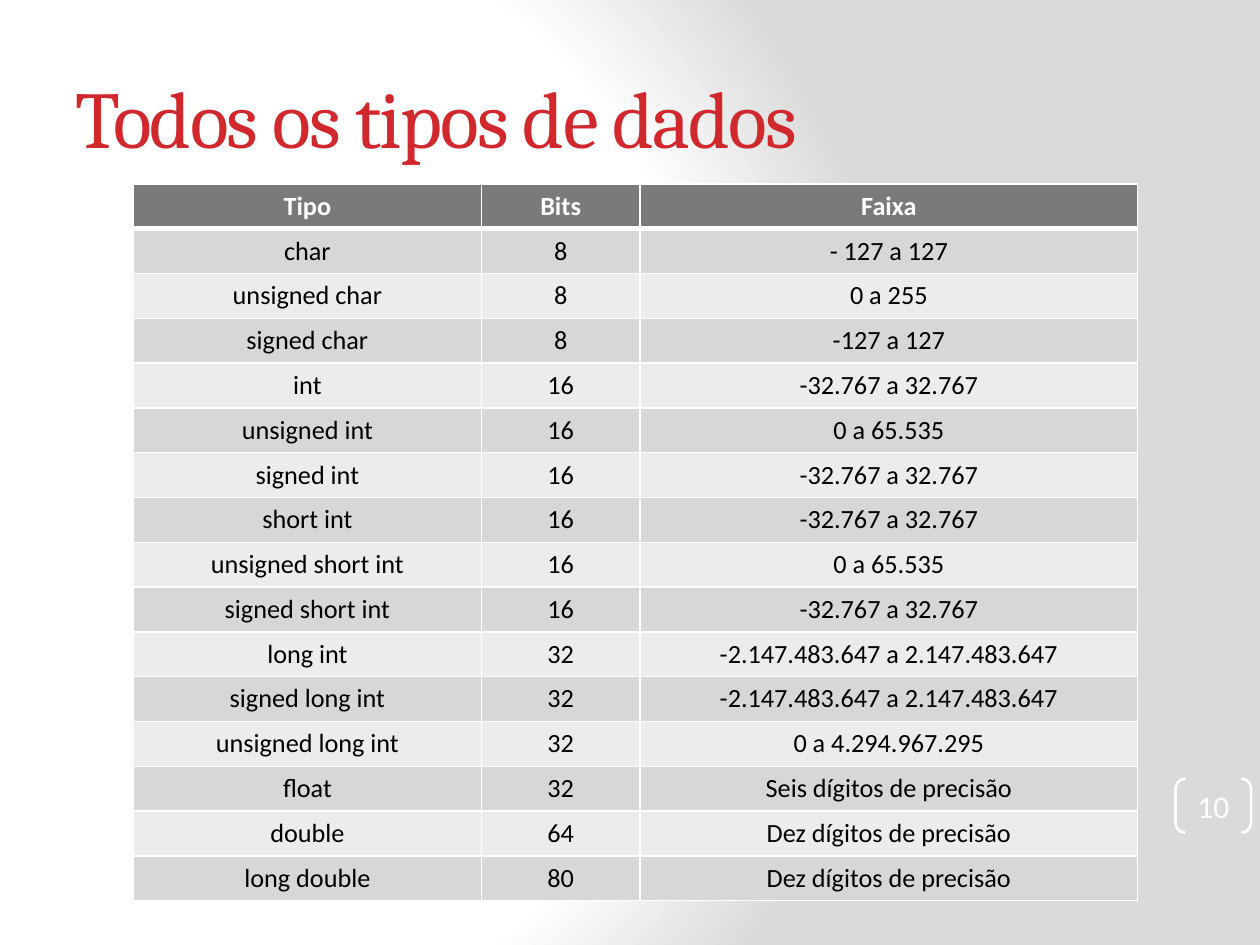
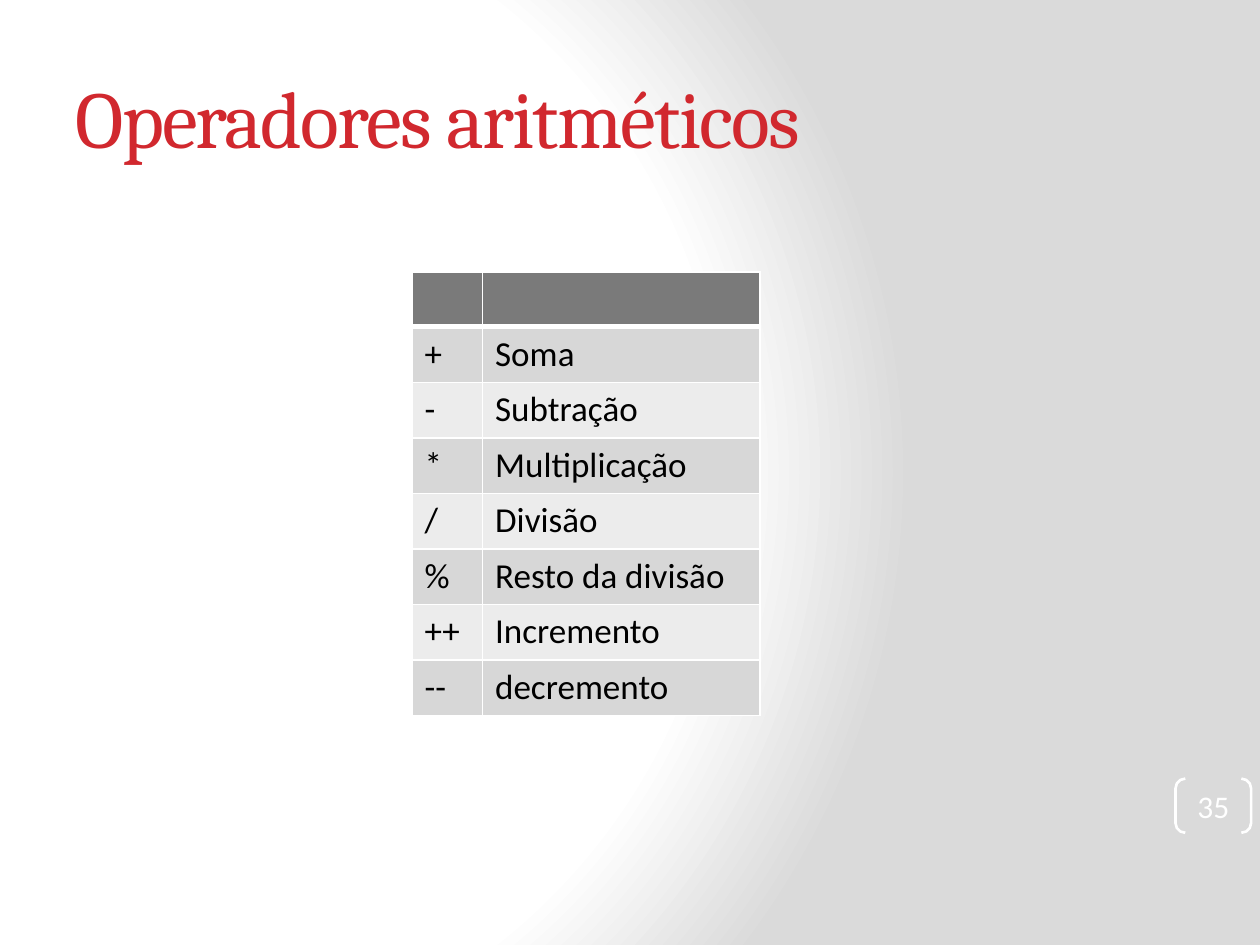
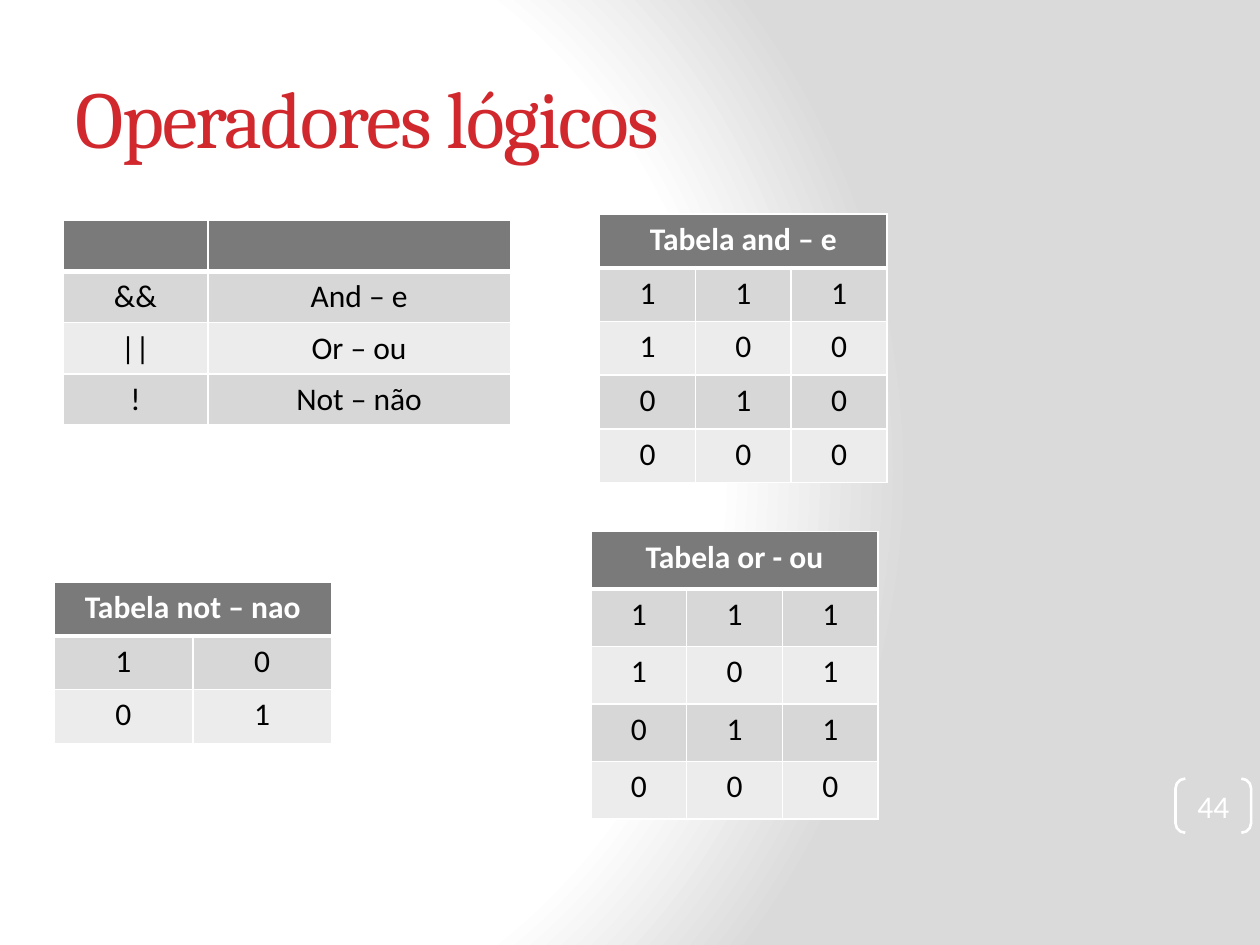
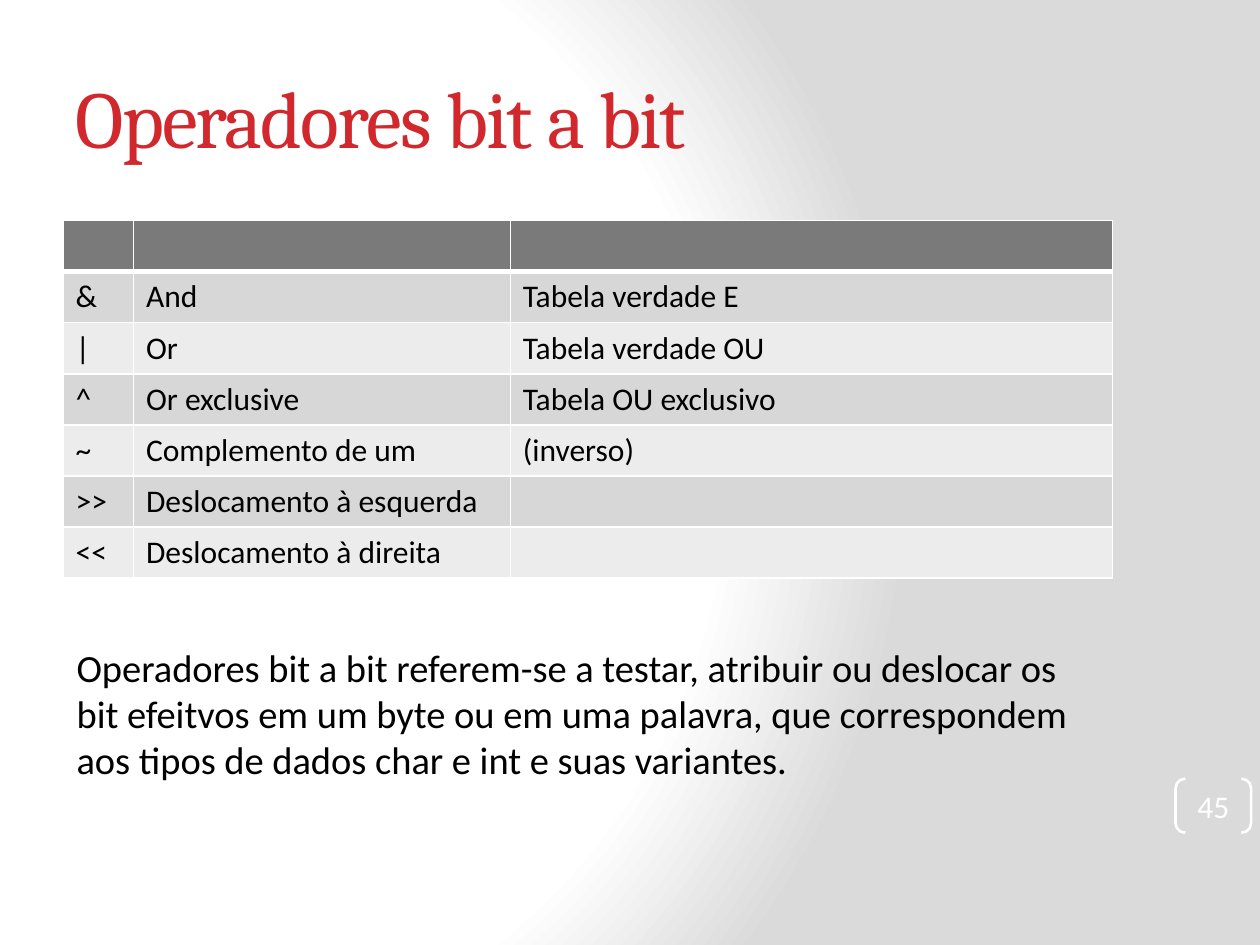
from lxml import etree
from pptx import Presentation
from pptx.dml.color import RGBColor
from pptx.enum.shapes import MSO_SHAPE as Preset
from pptx.enum.text import MSO_ANCHOR as Anchor, MSO_AUTO_SIZE as AutoSize, PP_ALIGN as Align
from pptx.oxml.ns import qn
from pptx.util import Inches, Pt

# Shared style
RED, WHITE, BLACK, SHADE = "D1282E", "FFFFFF", "000000", "DADADA"
HEADER, BANDS = "7A7A7A", ("ECECEC", "D7D7D7")
TITLE_FONT, BODY_FONT = "Cambria", "Calibri"
TITLE_ONLY = 5

# Grid of 40 columns by 30 rows on a 10 by 7.5 inch slide
CELL = 0.25
COLUMNS, ROWS = 40, 30
TITLE_BOX = (2, 1.2, 33.32, 5)
NUMBER_BOX = (37.32, 24.72, 2.4, 1.72)


def grid(*steps):
    return [Inches(step * CELL) for step in steps]


def color(hex_text):
    return RGBColor.from_string(hex_text)


def write(frame, text, size=18, font=BODY_FONT, fill=BLACK, bold=False,
          align=Align.LEFT, spacing=None):
    paragraph = frame.paragraphs[0]
    paragraph.alignment = align
    if not text:
        return
    run = paragraph.add_run()
    run.text = text
    run.font.size, run.font.name, run.font.bold = Pt(size), font, bold
    run.font.color.rgb = color(fill)
    if spacing is not None:
        run.font._element.set("spc", str(spacing * 100))


def add_solid_fill(parent, hex_text):
    solid = etree.SubElement(parent, qn("a:solidFill"))
    etree.SubElement(solid, qn("a:srgbClr"), val=hex_text)


def set_borders(cell, top=1, bottom=1):
    properties = cell._tc.get_or_add_tcPr()
    widths = {"L": 1, "R": 1, "T": top, "B": bottom}
    for index, (side, width) in enumerate(widths.items()):
        line = etree.Element(qn(f"a:ln{side}"), w=str(Pt(width)))
        add_solid_fill(line, WHITE)
        properties.insert(index, line)


class Deck:
    def __init__(self):
        self.presentation = Presentation()
        size = grid(COLUMNS, ROWS)
        self.presentation.slide_width, self.presentation.slide_height = size
        self.slide = None
        self.paint_background()

    def paint_background(self):
        """Radial white-to-grey gradient on the master."""
        master = self.presentation.slide_master
        master.background.fill.gradient()
        gradient = next(master._element.iter(qn("a:gradFill")))
        for child in list(gradient):
            gradient.remove(child)
        stops = etree.SubElement(gradient, qn("a:gsLst"))
        for share, tone in ((0, WHITE), (75, WHITE), (100, SHADE)):
            stop = etree.SubElement(stops, qn("a:gs"), pos=str(share * 1000))
            etree.SubElement(stop, qn("a:srgbClr"), val=tone)
        circle = etree.SubElement(gradient, qn("a:path"), path="circle")
        etree.SubElement(circle, qn("a:fillToRect"),
                         l="20000", t="50000", r="100000", b="50000")

    def add_slide(self, title, number):
        layout = self.presentation.slide_layouts[TITLE_ONLY]
        self.slide = self.presentation.slides.add_slide(layout)
        self.add_title(title)
        self.add_number(number)

    def add_title(self, text):
        title = self.slide.shapes.title
        title.left, title.top, title.width, title.height = grid(*TITLE_BOX)
        frame = title.text_frame
        frame.auto_size, frame.vertical_anchor = AutoSize.NONE, Anchor.MIDDLE
        write(frame, text, size=46, font=TITLE_FONT, fill=RED, spacing=-1)

    def add_number(self, number):
        bracket = self.slide.shapes.add_shape(Preset.DOUBLE_BRACKET, *grid(*NUMBER_BOX))
        bracket.shadow.inherit = False
        bracket.adjustments[0] = 0.18
        bracket.fill.background()
        bracket.line.color.rgb, bracket.line.width = color(WHITE), Pt(1.5)
        frame = bracket.text_frame
        frame.margin_left = frame.margin_right = frame.margin_top = frame.margin_bottom = 0
        frame.vertical_anchor = Anchor.MIDDLE
        write(frame, str(number), fill=WHITE, align=Align.CENTER)

    def add_table(self, left, top, widths, height, rows, size=18, align=Align.CENTER):
        """A one-item first row becomes a header across all columns."""
        box = grid(left, top, sum(widths), height)
        table = self.slide.shapes.add_table(len(rows), len(widths), *box).table
        for column, width in zip(table.columns, grid(*widths)):
            column.width = width
        for row in table.rows:
            row.height = int(box[3] / len(rows))
        if len(rows[0]) == 1:
            table.cell(0, 0).merge(table.cell(0, len(widths) - 1))
        for row_index, texts in enumerate(rows):
            is_header = row_index == 0
            for column_index in range(len(widths)):
                cell = table.cell(row_index, column_index)
                cell.fill.solid()
                cell.fill.fore_color.rgb = color(HEADER if is_header else BANDS[row_index % 2])
                set_borders(cell, top=3 if row_index == 1 else 1, bottom=3 if is_header else 1)
                if column_index < len(texts):
                    write(cell.text_frame, texts[column_index], size=size, bold=is_header,
                          fill=WHITE if is_header else BLACK, align=align)

    def add_note(self, text, *box):
        frame = self.slide.shapes.add_textbox(*grid(*box)).text_frame
        frame.word_wrap, frame.auto_size = True, AutoSize.SHAPE_TO_FIT_TEXT
        write(frame, text, size=22)


def main():
    deck = Deck()

    # Data types
    small, large = "-32.767 a 32.767", "-2.147.483.647 a 2.147.483.647"
    deck.add_slide("Todos os tipos de dados", 10)
    deck.add_table(4.24, 5.84, (11.04, 5.04, 15.8), 22.4, [
        ("Tipo", "Bits", "Faixa"),
        ("char", "8", "- 127 a 127"),
        ("unsigned char", "8", "0 a 255"),
        ("signed char", "8", "-127 a 127"),
        ("int", "16", small),
        ("unsigned int", "16", "0 a 65.535"),
        ("signed int", "16", small),
        ("short int", "16", small),
        ("unsigned short int", "16", "0 a 65.535"),
        ("signed short int", "16", small),
        ("long int", "32", large),
        ("signed long int", "32", large),
        ("unsigned long int", "32", "0 a 4.294.967.295"),
        ("float", "32", "Seis dígitos de precisão"),
        ("double", "64", "Dez dígitos de precisão"),
        ("long double", "80", "Dez dígitos de precisão"),
    ], size=15)

    # Arithmetic operators
    deck.add_slide("Operadores aritméticos", 35)
    deck.add_table(13.08, 8.64, (2.24, 8.8), 13.88, [
        ("", ""),
        ("+", "Soma"),
        ("-", "Subtração"),
        ("*", "Multiplicação"),
        ("/", "Divisão"),
        ("%", "Resto da divisão"),
        ("++", "Incremento"),
        ("--", "decremento"),
    ], size=20, align=Align.LEFT)

    # Logical operators and their truth tables
    deck.add_slide("Operadores lógicos", 44)
    deck.add_table(2, 7, (4.6, 9.6), 6.48, [
        ("", ""),
        ("&&", "And – e"),
        ("||", "Or – ou"),
        ("!", "Not – não"),
    ])
    deck.add_table(19.04, 6.8, (3.04,) * 3, 8.52,
                   [("Tabela and – e",), "111", "100", "010", "000"])
    deck.add_table(18.76, 16.88, (3.04,) * 3, 9.12,
                   [("Tabela or - ou",), "111", "101", "011", "000"])
    deck.add_table(1.72, 18.48, (4.4,) * 2, 5.12,
                   [("Tabela not – nao",), "10", "01"])

    # Bitwise operators
    deck.add_slide("Operadores bit a bit", 45)
    deck.add_table(2, 7, (2.24, 11.96, 19.12), 11.36, [
        ("", "", ""),
        ("&", "And", "Tabela verdade E"),
        ("|", "Or", "Tabela verdade OU"),
        ("^", "Or exclusive", "Tabela OU exclusivo"),
        ("~", "Complemento de um", "(inverso)"),
        (">>", "Deslocamento à esquerda", ""),
        ("<<", "Deslocamento à direita", ""),
    ], align=Align.LEFT)
    deck.add_note("Operadores bit a bit referem-se a testar, atribuir ou deslocar os bit "
                  "efeitvos em um byte ou em uma palavra, que correspondem aos tipos de "
                  "dados char e int e suas variantes.", 2.04, 20.24, 33.08, 4.84)

    deck.presentation.save("out.pptx")


if __name__ == "__main__":
    main()
